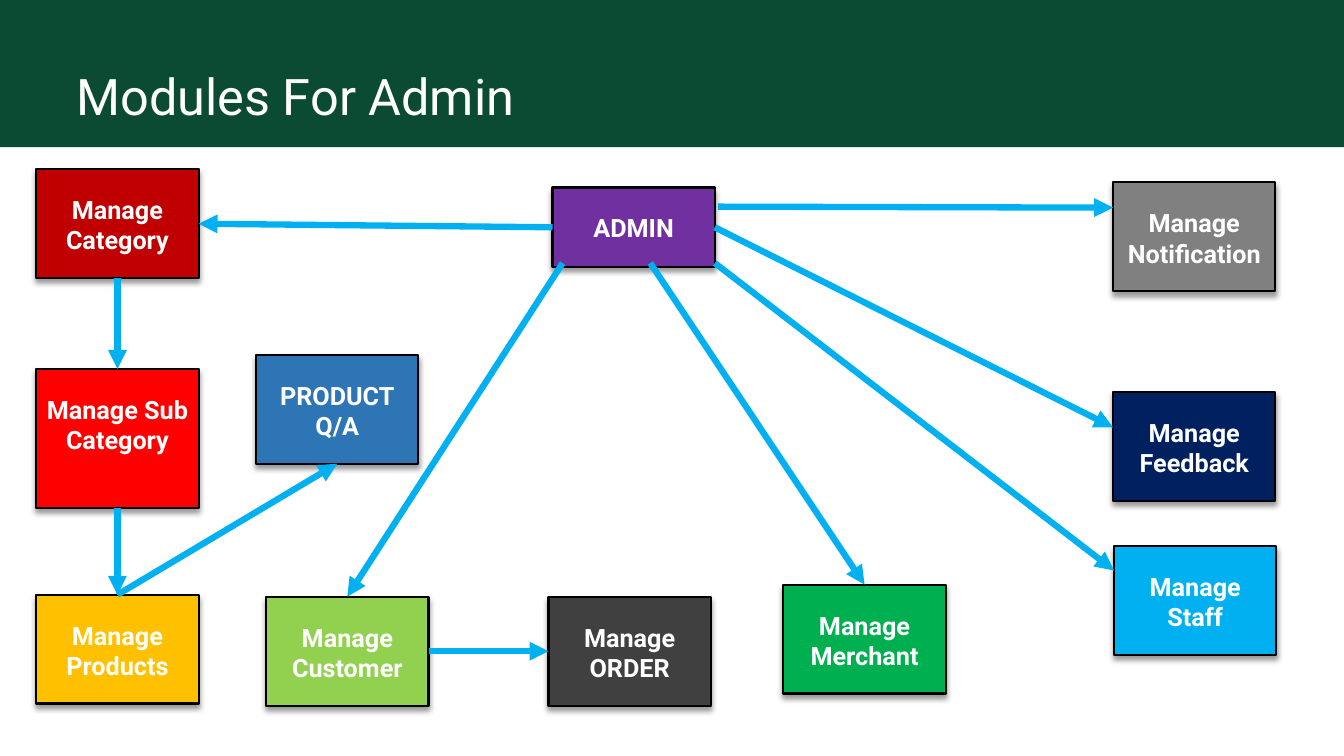
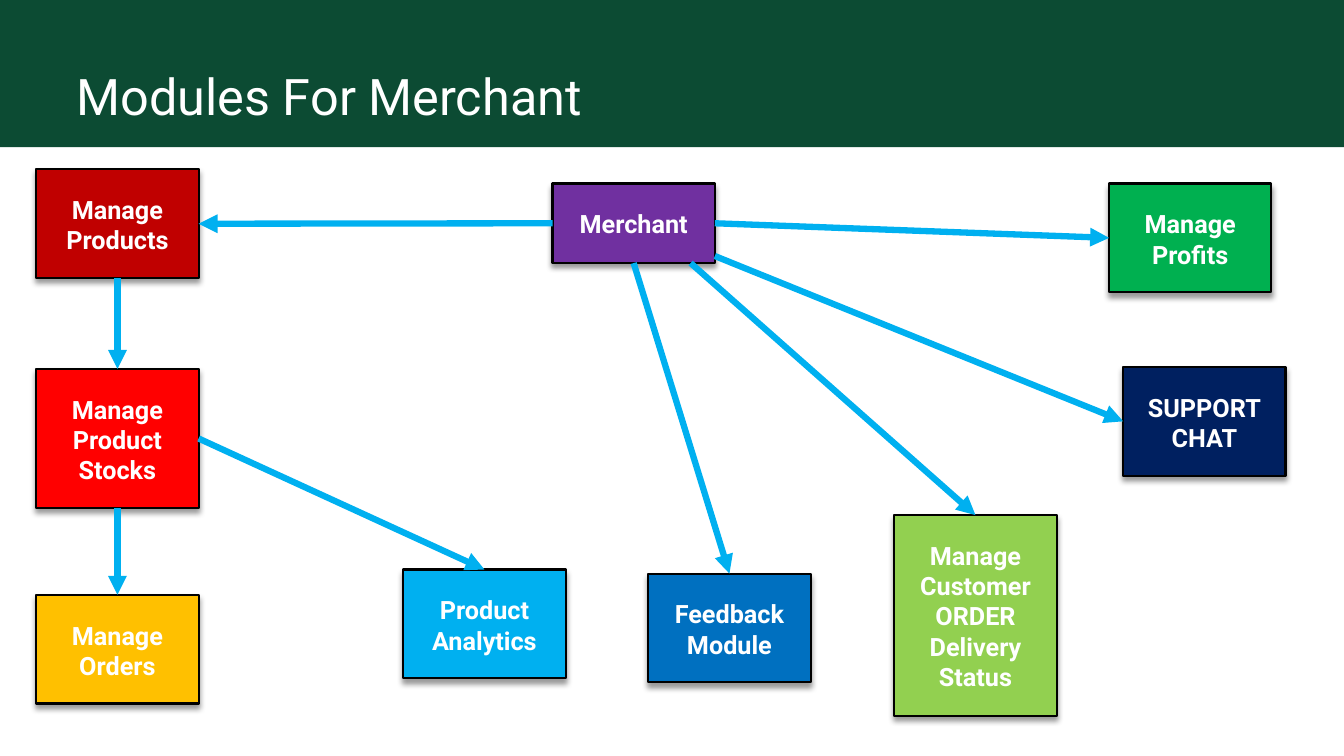
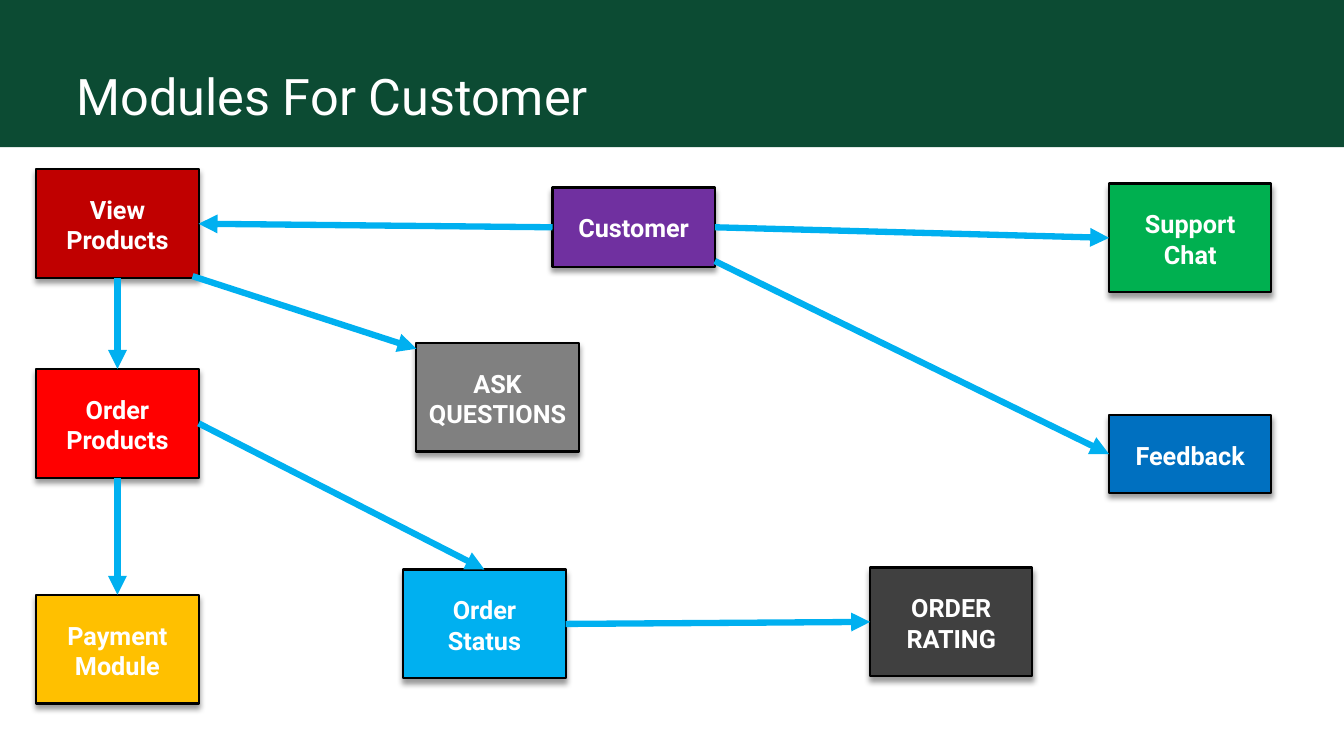
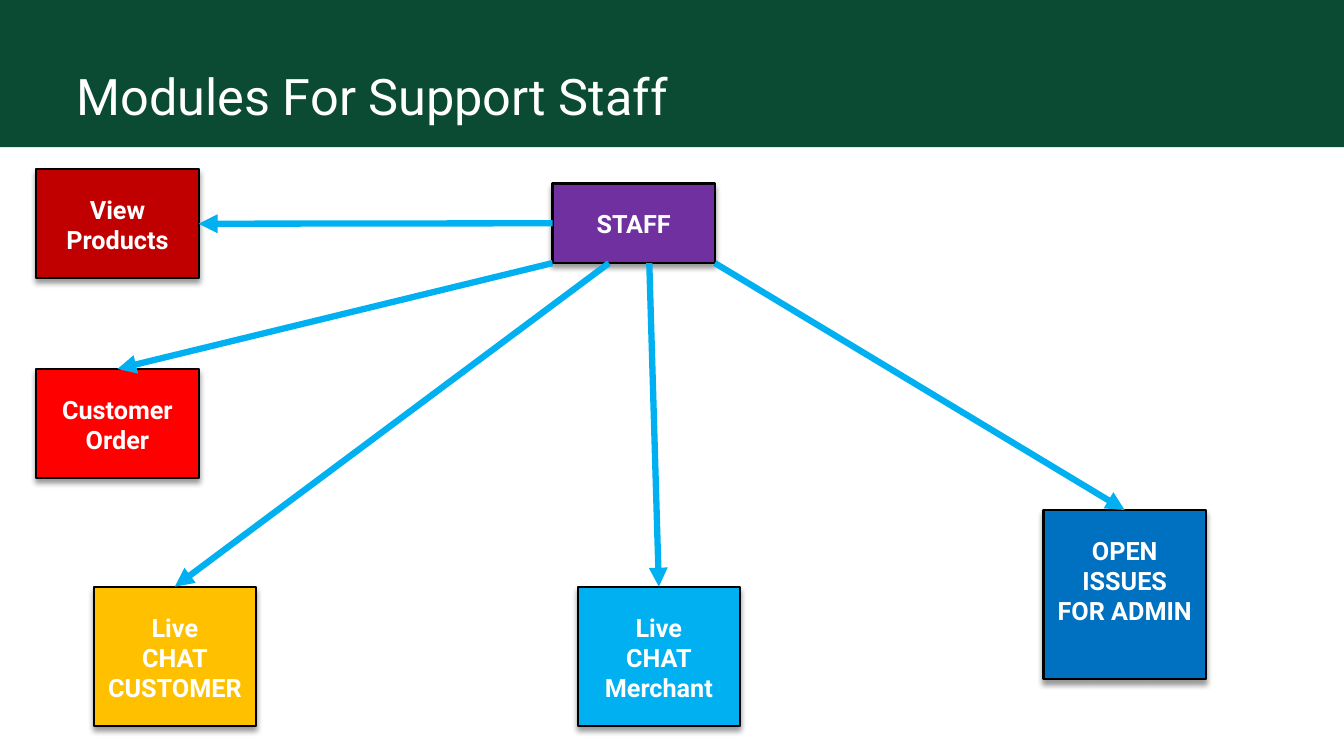
from lxml import etree
from pptx import Presentation
from pptx.dml.color import RGBColor
from pptx.enum.shapes import MSO_CONNECTOR, MSO_SHAPE
from pptx.enum.text import MSO_ANCHOR, PP_ALIGN
from pptx.oxml.ns import qn
from pptx.util import Pt

PX = 9144
WIDTH, HEIGHT = 1333, 750
RECT, STRAIGHT = MSO_SHAPE.RECTANGLE, MSO_CONNECTOR.STRAIGHT
TOP, BOTTOM = MSO_ANCHOR.TOP, MSO_ANCHOR.BOTTOM
LEFT, CENTER = PP_ALIGN.LEFT, PP_ALIGN.CENTER
N, W, S, E = range(4)

FONT = "Roboto"
BAND, WHITE, BLACK, ARROW = "0C4B33", "FFFFFF", "000000", "00B0F0"
CRIMSON, RED, AMBER, LIME, GREEN = "C00000", "FF0000", "FFC000", "92D050", "00B050"
SKY, BLUE, STEEL, NAVY, PURPLE = "00B0F0", "0070C0", "2E75B6", "002060", "7030A0"
GREY, CHARCOAL = "808080", "404040"

TITLE_FORMAT = {"name": FONT, "size": Pt(36), "bold": False}
BOX_FORMAT = {"name": FONT, "size": Pt(18), "bold": True}
BOX_W, BOX_H, HUB_H, TALL_H = 161, 108, 79, 138
COL, HUB_X = 36, 548
ROWS = 168, 366, 590

SLIDES = [
    ("Modules For Admin", {
        "hub": ("ADMIN", HUB_X, 186, HUB_H, PURPLE),
        "category": ("Manage\nCategory", COL, ROWS[0], BOX_H, CRIMSON),
        "sub": ("Manage Sub\nCategory", COL, ROWS[1], TALL_H, RED),
        "products": ("Manage\nProducts", COL, ROWS[2], BOX_H, AMBER),
        "customer": ("Manage\nCustomer", 264, 592, BOX_H, LIME),
        "merchant": ("Manage\nMerchant", 777, 580, BOX_H, GREEN),
        "staff": ("Manage\nStaff", 1105, 542, BOX_H, SKY),
        "feedback": ("Manage\nFeedback", 1104, 389, BOX_H, NAVY),
        "notification": ("Manage\nNotification", 1104, 181, BOX_H, GREY),
        "order": ("Manage\nORDER", 544, 592, BOX_H, CHARCOAL),
        "qa": ("PRODUCT\nQ/A", 254, 352, BOX_H, STEEL),
    }, [
        (("hub", W), ("category", E)),
        (("category", S), ("sub", N)),
        (("sub", S), ("products", N)),
        ((558, 261), ("customer", N)),
        ((645, 261), ("merchant", N)),
        ((709, 261), (1105, 566)),
        (("hub", E), (1104, 424)),
        ((712, 205), (1104, 206)),
        (("customer", E), ("order", W)),
        (("products", N), ("qa", S)),
    ]),
    ("Modules For Merchant", {
        "hub": ("Merchant", HUB_X, 182, HUB_H, PURPLE),
        "products": ("Manage\nProducts", COL, ROWS[0], BOX_H, CRIMSON),
        "stocks": ("Manage\nProduct Stocks", COL, ROWS[1], TALL_H, RED),
        "orders": ("Manage Orders", COL, ROWS[2], BOX_H, AMBER),
        "delivery": ("Manage\nCustomer\nORDER Delivery Status", 887, 511, 199, LIME),
        "profits": ("Manage\nProfits", 1100, 182, BOX_H, GREEN),
        "analytics": ("Product\nAnalytics", 400, 565, BOX_H, SKY),
        "feedback": ("Feedback\nModule", 643, 569, BOX_H, BLUE),
        "chat": ("SUPPORT\nCHAT", 1114, 364, BOX_H, NAVY),
    }, [
        (("hub", W), ("products", E)),
        (("products", S), ("stocks", N)),
        (("stocks", S), ("orders", N)),
        ((685, 261), ("delivery", N)),
        (("hub", E), ("profits", W)),
        (("stocks", E), ("analytics", N)),
        (("hub", S), ("feedback", N)),
        ((709, 254), ("chat", W)),
    ]),
    ("Modules For Customer", {
        "hub": ("Customer", HUB_X, 186, HUB_H, PURPLE),
        "view": ("View\nProducts", COL, ROWS[0], BOX_H, CRIMSON),
        "order": ("Order\nProducts", COL, ROWS[1], BOX_H, RED),
        "payment": ("Payment\nModule", COL, ROWS[2], BOX_H, AMBER),
        "support": ("Support\nChat", 1100, 182, BOX_H, GREEN),
        "status": ("Order\nStatus", 400, 565, BOX_H, SKY),
        "feedback": ("Feedback", 1100, 412, 77, BLUE),
        "rating": ("ORDER\nRATING", 863, 563, BOX_H, CHARCOAL),
        "ask": ("ASK\nQUESTIONS", 413, 340, BOX_H, GREY),
    }, [
        (("hub", W), ("view", E)),
        (("view", S), ("order", N)),
        (("order", S), ("payment", N)),
        (("hub", E), ("support", W)),
        (("order", E), ("status", N)),
        ((709, 259), ("feedback", W)),
        (("status", E), ("rating", W)),
        ((191, 274), (413, 346)),
    ]),
    ("Modules For Support Staff", {
        "hub": ("STAFF", HUB_X, 182, HUB_H, PURPLE),
        "view": ("View\nProducts", COL, ROWS[0], BOX_H, CRIMSON),
        "order": ("Customer\nOrder", COL, ROWS[1], BOX_H, RED),
        "customer": ("Live\nCHAT\nCUSTOMER", 93, 582, TALL_H, AMBER),
        "merchant": ("Live\nCHAT\nMerchant", 573, 582, TALL_H, SKY),
        "issues": ("OPEN\nISSUES\nFOR ADMIN", 1035, 506, 168, BLUE),
    }, [
        (("hub", W), ("view", E)),
        ((548, 261), ("order", N)),
        ((604, 261), ("customer", N)),
        ((709, 261), ("issues", N)),
        ((644, 261), ("merchant", N)),
    ]),
]


def px(*values):
    """Turn px lengths into EMU."""
    return [v * PX for v in values]


def rgb(value):
    """Turn a hex string into a colour."""
    return RGBColor.from_string(value)


class Deck:
    """Holds the shared style and the current slide."""

    def __init__(self):
        """Set the slide size and place the layout title."""
        self.prs = Presentation()
        self.prs.slide_width, self.prs.slide_height = px(WIDTH, HEIGHT)
        self.layout = self.prs.slide_layouts[5]
        title = self.layout.placeholders[0]
        title.left, title.top, title.width, title.height = px(66, -2, 1176, 132)
        title.text_frame.vertical_anchor = BOTTOM

    def slide(self, title):
        """Start a slide with its title."""
        self.s = self.prs.slides.add_slide(self.layout)
        if len(self.prs.slides) == 1:
            self.band()
        self.text(self.s.shapes.title.text_frame, title, LEFT, TITLE_FORMAT)

    def band(self):
        """Put the title band on the layout."""
        sp = self.rect(0, 0, WIDTH, 146, BAND)
        sp.line.fill.background()
        sp.element.nvSpPr.cNvPr.set("id", "20")
        self.layout.shapes.element.insert(2, sp.element)

    def text(self, tf, text, align, style):
        """Fill a text frame, one paragraph a line."""
        for i, line in enumerate(text.split("\n")):
            p = tf.add_paragraph() if i else tf.paragraphs[0]
            p.alignment = align
            r = p.add_run()
            r.text = line
            r.font.color.rgb = rgb(WHITE)
            for key, value in style.items():
                setattr(r.font, key, value)

    def rect(self, x, y, w, h, fill):
        """Add a flat rectangle."""
        sp = self.s.shapes.add_shape(RECT, *px(x, y, w, h))
        sp.shadow.inherit = False
        sp.fill.solid()
        sp.fill.fore_color.rgb = rgb(fill)
        return sp

    def box(self, text, x, y, h, fill):
        """Add a module box with outline, shadow and label."""
        sp = self.rect(x, y, BOX_W, h, fill)
        sp.line.color.rgb = rgb(BLACK)
        sp.line.width = Pt(1.5)
        effects = sp.element.spPr.find(qn("a:effectLst"))
        shadow = etree.SubElement(effects, qn("a:outerShdw"), blurRad="50800",
                                  dist="38100", dir="5400000", rotWithShape="0")
        color = etree.SubElement(shadow, qn("a:srgbClr"), val=BLACK)
        etree.SubElement(color, qn("a:alpha"), val="40000")
        tf = sp.text_frame
        tf.word_wrap = True
        tf.vertical_anchor = TOP
        tf.margin_top = 25 * PX
        self.text(tf, text, CENTER, BOX_FORMAT)
        return sp

    def arrow(self, start, end, boxes):
        """Add an arrow between points or box sides."""
        points = [(0, 0) if p[0] in boxes else px(*p) for p in (start, end)]
        c = self.s.shapes.add_connector(STRAIGHT, *points[0], *points[1])
        for point, connect in ((start, c.begin_connect), (end, c.end_connect)):
            if point[0] in boxes:
                connect(boxes[point[0]], point[1])
        c.line.color.rgb = rgb(ARROW)
        c.line.width = Pt(4.5)
        spPr = c.element.spPr
        etree.SubElement(spPr.find(qn("a:ln")), qn("a:tailEnd"), type="triangle")
        etree.SubElement(spPr, qn("a:effectLst"))


def main():
    """Build the slides and save them."""
    deck = Deck()
    for title, modules, arrows in SLIDES:
        deck.slide(title)
        boxes = {name: deck.box(*module) for name, module in modules.items()}
        for start, end in arrows:
            deck.arrow(start, end, boxes)
    deck.prs.save("out.pptx")


if __name__ == "__main__":
    main()
